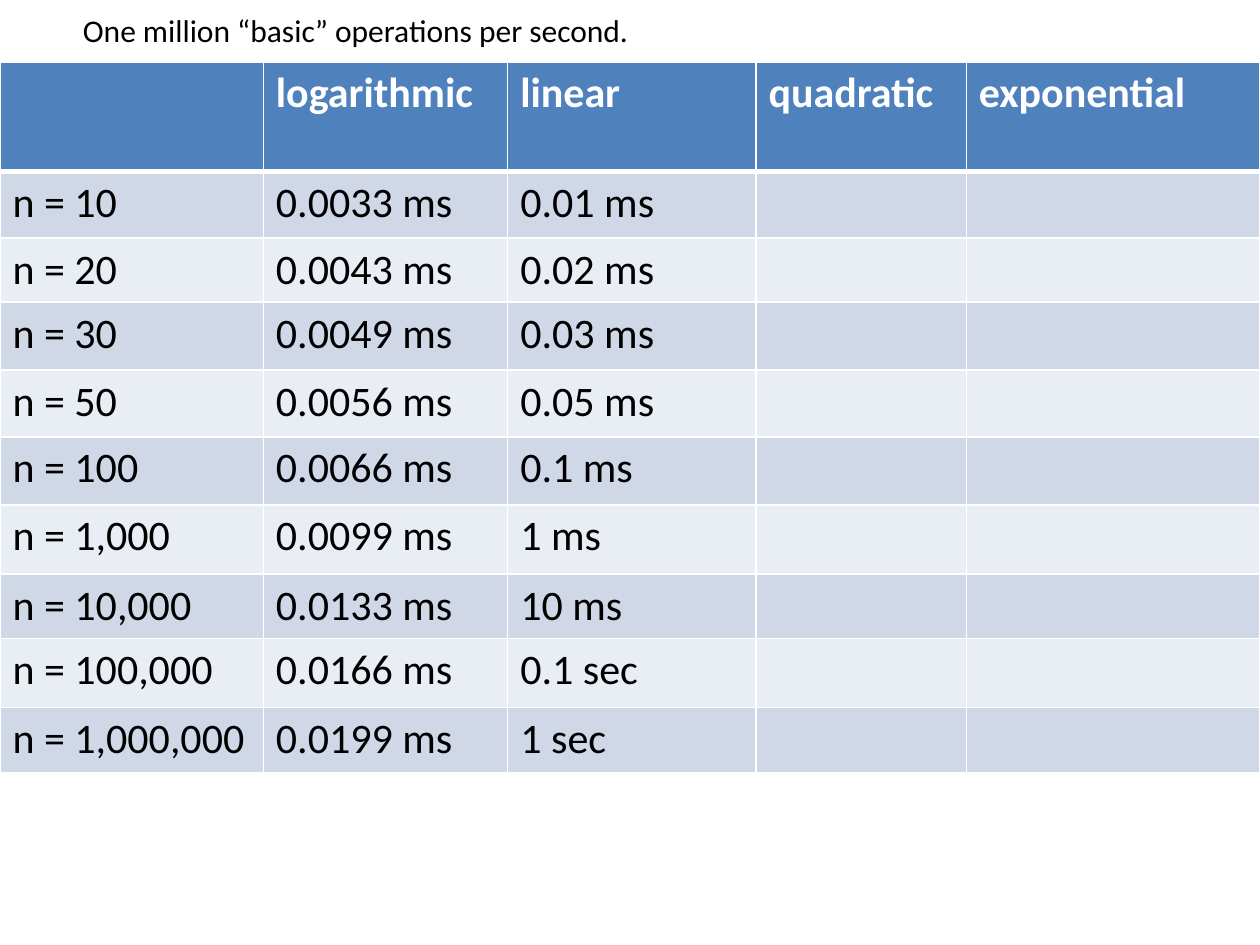
import dataclasses

import lxml.etree
import pptx
import pptx.dml.color
import pptx.oxml.ns
import pptx.util

Inches = pptx.util.Inches
BLANK_LAYOUT = 6

COLUMN_WIDTHS = [2.09, 1.94, 1.97, 1.67, 2.33]
ROW_HEIGHTS = [0.87, 0.53, 0.49, 0.54, 0.53, 0.54, 0.55, 0.51, 0.55, 0.52]
RUNNING_TIMES = [
    ["", "logarithmic", "linear", "quadratic", "exponential"],
    ["n = 10", "0.0033 ms", "0.01 ms", "", ""],
    ["n = 20", "0.0043 ms", "0.02 ms", "", ""],
    ["n = 30", "0.0049 ms", "0.03 ms", "", ""],
    ["n = 50", "0.0056 ms", "0.05 ms", "", ""],
    ["n = 100", "0.0066 ms", "0.1 ms", "", ""],
    ["n = 1,000", "0.0099 ms", "1 ms", "", ""],
    ["n = 10,000", "0.0133 ms", "10 ms", "", ""],
    ["n = 100,000", "0.0166 ms", "0.1 sec", "", ""],
    ["n = 1,000,000", "0.0199 ms", "1 sec", "", ""],
]


@dataclasses.dataclass(frozen=True)
class Theme:
    font: str = "Calibri"
    text: str = "000000"
    header_text: str = "FFFFFF"
    header_fill: str = "4F81BD"
    band_fills: tuple = ("D0D8E8", "E9EDF4")
    border: str = "FFFFFF"
    caption_size: int = 18
    table_size: int = 24
    border_width: int = 1
    header_rule_width: int = 3


def write_text(text_frame, text, *, font, size, color, bold=False):
    paragraph = text_frame.paragraphs[0]
    paragraph.text = text
    paragraph.font.name = font
    paragraph.font.size = pptx.util.Pt(size)
    paragraph.font.bold = bold
    paragraph.font.color.rgb = pptx.dml.color.RGBColor.from_string(color)


def set_borders(cell, color, widths):
    """Draw the cell's left, right, top and bottom lines, widths in points."""
    properties = cell._tc.get_or_add_tcPr()
    qualified = pptx.oxml.ns.qn
    for position, (side, width) in enumerate(zip("LRTB", widths)):
        line = lxml.etree.Element(qualified(f"a:ln{side}"), w=str(pptx.util.Pt(width)))
        fill = lxml.etree.SubElement(line, qualified("a:solidFill"))
        lxml.etree.SubElement(fill, qualified("a:srgbClr"), val=color)
        properties.insert(position, line)


class SlideBuilder:
    def __init__(self, slide, theme):
        self.slide = slide
        self.theme = theme

    def add_caption(self, text, left, top, width, height):
        box = self.slide.shapes.add_textbox(
            Inches(left), Inches(top), Inches(width), Inches(height))
        box.text_frame.word_wrap = True
        write_text(box.text_frame, text, font=self.theme.font,
                   size=self.theme.caption_size, color=self.theme.text)

    def add_table(self, rows, left, top, column_widths, row_heights):
        table = self.slide.shapes.add_table(
            len(rows), len(column_widths), Inches(left), Inches(top),
            Inches(sum(column_widths)), Inches(sum(row_heights))).table
        for column, width in zip(table.columns, column_widths):
            column.width = Inches(width)
        for row, height in zip(table.rows, row_heights):
            row.height = Inches(height)
        for row_index, values in enumerate(rows):
            for column_index, value in enumerate(values):
                self.format_cell(table.cell(row_index, column_index), value, row_index)

    def format_cell(self, cell, text, row_index):
        theme = self.theme
        is_header = row_index == 0
        fill = theme.header_fill if is_header else theme.band_fills[(row_index - 1) % 2]
        cell.fill.solid()
        cell.fill.fore_color.rgb = pptx.dml.color.RGBColor.from_string(fill)
        thin, thick = theme.border_width, theme.header_rule_width
        set_borders(cell, theme.border, [
            thin, thin, thick if row_index == 1 else thin, thick if is_header else thin])
        write_text(cell.text_frame, text, font=theme.font, size=theme.table_size,
                   color=theme.header_text if is_header else theme.text, bold=is_header)


def main():
    presentation = pptx.Presentation()
    presentation.slide_width = Inches(10)
    presentation.slide_height = Inches(7.5)
    slide = presentation.slides.add_slide(presentation.slide_layouts[BLANK_LAYOUT])
    builder = SlideBuilder(slide, Theme())
    builder.add_table(RUNNING_TIMES, 0, 0.49, COLUMN_WIDTHS, ROW_HEIGHTS)
    builder.add_caption("One million “basic” operations per second.", 0.56, 0.04, 8.8, 0.4)
    presentation.save("out.pptx")


if __name__ == "__main__":
    main()
